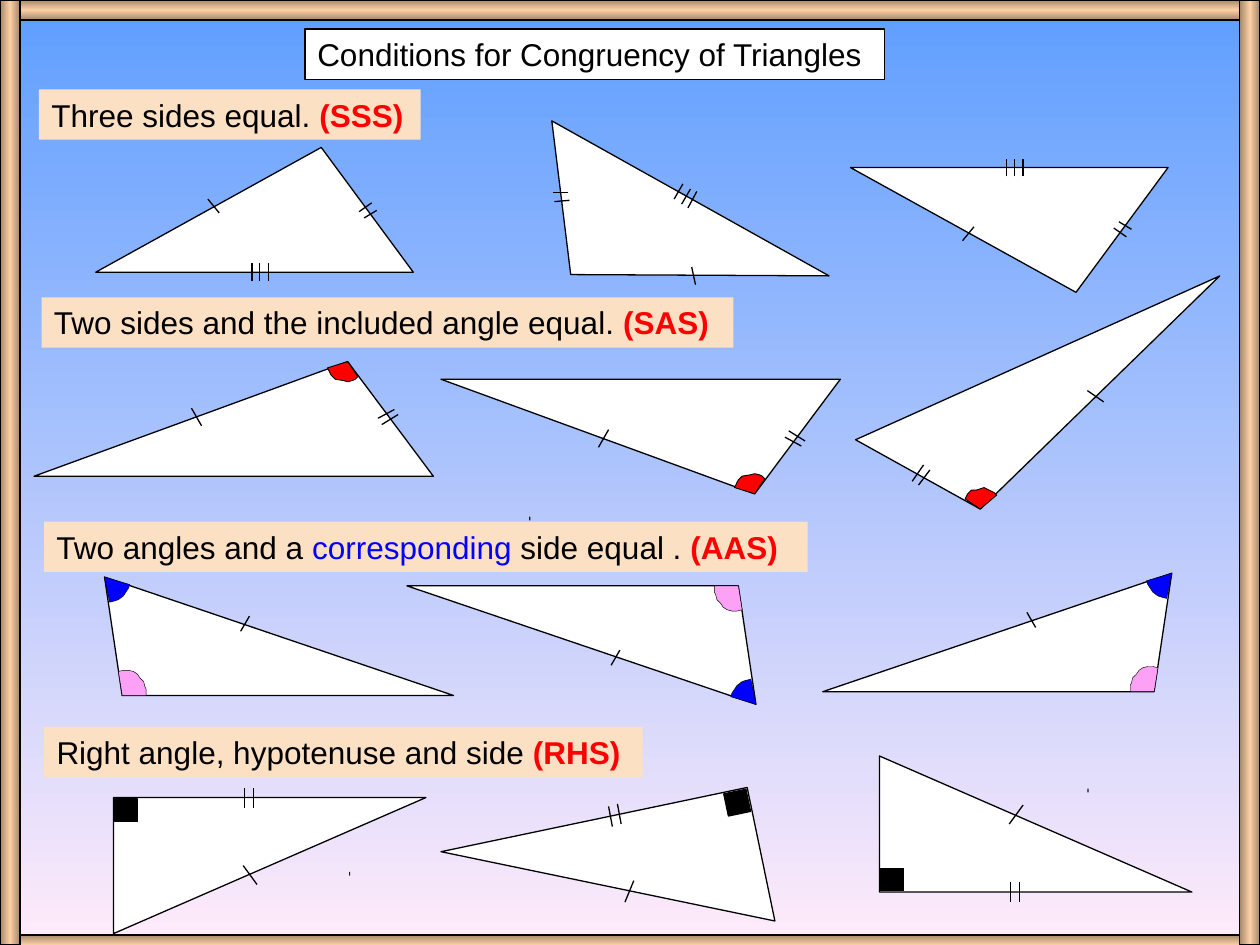
from copy import deepcopy
from dataclasses import dataclass
from math import cos, radians, sin

from lxml.etree import SubElement
from pptx import Presentation
from pptx.dml.color import RGBColor
from pptx.enum.shapes import MSO_CONNECTOR, MSO_SHAPE
from pptx.enum.text import MSO_AUTO_SIZE
from pptx.oxml.ns import qn
from pptx.util import Pt

PX = 9144


@dataclass(frozen=True)
class Theme:
    font: str = "Arial"
    size: int = 18
    ink: str = "000000"
    paper: str = "FFFFFF"
    label: str = "FCE0C4"
    red: str = "FF0000"
    blue: str = "0000FF"
    pink: str = "FDA1F6"
    speck: str = "1F1A17"
    sky: tuple = ("5E9EFF", "FFEBFA")
    wood: tuple = ("A5886C", "FACFA4", "A5886C")
    edge: float = 0.75


@dataclass(frozen=True)
class Place:
    x: int
    y: int
    flip: int = 1
    turn: float = 0


@dataclass(frozen=True)
class Figure:
    sides: tuple
    ticks: tuple
    wedges: tuple = ()
    square: bool = False


LOOK = Theme()

SAS_ARC = ((8, 12), (0, 0), (-16, 5), (-15, 7), (-14, 9), (-13, 11),
           (-10, 14), (-4, 15), (0, 16), (4, 15), (6, 14))
BLUE_ARC = ((4, 20), (0, 0), (20, 6), (19, 9), (17, 12), (15, 15), (11, 18), (8, 19))
PINK_ARC = ((33, 94), (14, 94), (11, 75), (15, 74), (19, 74), (23, 75),
            (26, 77), (28, 80), (31, 83), (32, 87), (33, 89), (33, 91))

SSS = Figure(
    ((0, 0), (-179, 99), (73, 99)),
    ((-90, 41, -81, 52), (30, 51, 40, 44), (34, 56, 44, 50),
     *((x, 92, x, 106) for x in (-55, -49, -42))))
SAS = Figure(
    ((0, 0), (-249, 91), (68, 91)),
    ((-124, 37, -116, 51), (24, 45, 37, 38), (27, 50, 40, 42)),
    ((LOOK.red, 0.5, SAS_ARC),))
AAS = Figure(
    ((0, 0), (14, 94), (277, 94)),
    ((108, 43, 115, 31),),
    ((LOOK.blue, 0.25, BLUE_ARC), (LOOK.pink, 0.25, PINK_ARC)))
RHS = Figure(
    ((0, 0), (248, 0), (0, 108)),
    ((103, 54, 114, 69), *((x, 8, x, -8) for x in (104, 111))),
    square=True)

ROWS = (
    ((33, 236, 549, 40),
     (("Two sides and the included angle equal. ", LOOK.ink), ("(SAS)", LOOK.red)),
     SAS, (Place(276, 287), Place(599, 392, -1), Place(778, 404, 1, 155.8))),
    ((35, 414, 606, 40),
     (("Two angles and a ", LOOK.ink), ("corresponding", LOOK.blue),
      (" side equal . ", LOOK.ink), ("(AAS)", LOOK.red)),
     AAS, (Place(83, 458), Place(600, 559, 1, 180), Place(930, 455, -1, 180))),
    ((35, 577, 475, 40),
     (("Right angle, hypotenuse and side ", LOOK.ink), ("(RHS)", LOOK.red)),
     RHS, (Place(698, 708, -1), Place(593, 625, -1, 168.2), Place(90, 633))),
    ((31, 71, 303, 40),
     (("Three sides equal. ", LOOK.ink), ("(SSS)", LOOK.red)),
     SSS, (Place(255, 117), Place(453, 218, 1, 209.3), Place(854, 232, -1))),
)


def rgb(code):
    """Turn a hex code into a colour."""
    return RGBColor.from_string(code)


def scale(*sizes):
    """Turn px into EMU."""
    return [size * PX for size in sizes]


def pin(point, place):
    """Flip, turn and move a point of a figure onto the slide."""
    x, y = point[0], point[1] * place.flip
    turn = radians(place.turn)
    return (round(place.x + x * cos(turn) - y * sin(turn)),
            round(place.y + x * sin(turn) + y * cos(turn)))


def paint(shape, fill, edge=None):
    """Give a shape a plain fill and an optional black edge."""
    shape.shadow.inherit = False
    shape.fill.solid()
    shape.fill.fore_color.rgb = rgb(fill)
    if edge:
        shape.line.color.rgb = rgb(LOOK.ink)
        shape.line.width = Pt(edge)
    else:
        shape.line.fill.background()


def blend(fill, codes, angle):
    """Colour the evenly spaced stops of a gradient."""
    fill.gradient_angle = angle
    for i, (stop, code) in enumerate(zip(fill.gradient_stops, codes)):
        stop.color.rgb = rgb(code)
        stop.position = i / (len(codes) - 1)


def add_bar(shapes, box, angle):
    """Add one wooden bar of the frame."""
    bar = shapes.add_shape(MSO_SHAPE.RECTANGLE, *scale(*box))
    paint(bar, LOOK.paper, LOOK.edge)
    bar.fill.gradient()
    stops = bar.element.spPr.find(".//" + qn("a:gsLst"))
    stops.append(deepcopy(stops[0]))
    blend(bar.fill, LOOK.wood, angle)


def add_label(shapes, box, parts, fill, edge=None):
    """Add a filled line of text, with names in red set bold."""
    label = shapes.add_textbox(*scale(*box))
    paint_box(label, fill, edge)
    frame = label.text_frame
    frame.word_wrap = True
    frame.auto_size = MSO_AUTO_SIZE.SHAPE_TO_FIT_TEXT
    line = frame.paragraphs[0]
    line.font.name = LOOK.font
    line.font.size = Pt(LOOK.size)
    for text, code in parts:
        run = line.add_run()
        run.text = text
        run.font.color.rgb = rgb(code)
        if code == LOOK.red:
            run.font.bold = True


def paint_box(label, fill, edge):
    """Paint the ground of a label."""
    paint(label, fill, edge)


def add_shape(shapes, points, fill, edge):
    """Add a closed outline."""
    pen = shapes.build_freeform(*points[0], scale=PX)
    pen.add_line_segments(points[1:], close=True)
    paint(pen.convert_to_shape(), fill, edge)


def add_tick(shapes, start, end):
    """Add one equal-side mark."""
    tick = shapes.add_connector(MSO_CONNECTOR.STRAIGHT, *scale(*start, *end))
    tick.line.color.rgb = rgb(LOOK.ink)
    tick.line.width = Pt(LOOK.edge)
    SubElement(tick.element.spPr, qn("a:effectLst"))


def add_square(shapes, place, size=18):
    """Add the right-angle mark of a figure."""
    x, y = pin((10, 10), place)
    box = scale(x - size // 2, y - size // 2, size, size)
    square = shapes.add_shape(MSO_SHAPE.RECTANGLE, *box)
    square.rotation = place.turn
    paint(square, LOOK.ink, LOOK.edge)


def add_figure(shapes, figure, place):
    """Add a triangle with its marks at a place."""
    add_shape(shapes, [pin(p, place) for p in figure.sides], LOOK.paper, LOOK.edge)
    for code, edge, arc in figure.wedges:
        add_shape(shapes, [pin(p, place) for p in arc], code, edge)
    if figure.square:
        add_square(shapes, place)
    for tick in figure.ticks:
        add_tick(shapes, pin(tick[:2], place), pin(tick[2:], place))


def main():
    """Build the slide."""
    deck = Presentation()
    deck.slide_width, deck.slide_height = scale(1000, 750)
    slide = deck.slides.add_slide(deck.slide_layouts[6])
    ground = slide.background.fill
    ground.gradient()
    blend(ground, LOOK.sky, 270)
    shapes = slide.shapes
    for x, y in ((420, 410), (277, 692), (863, 626)):
        paint(shapes.add_shape(MSO_SHAPE.RECTANGLE, *scale(x, y, 1, 3)), LOOK.speck)
    title = (("Conditions for Congruency of Triangles", LOOK.ink),)
    add_label(shapes, (242, 23, 460, 40), title, LOOK.paper, LOOK.edge)
    for y in (0, 742):
        add_bar(shapes, (0, y, 1000, 16), 270)
    for x in (0, 984):
        add_bar(shapes, (x, 0, 16, 750), 180)
    for box, parts, figure, places in ROWS:
        group = shapes.add_group_shape().shapes
        add_label(group, box, parts, LOOK.label)
        for place in places:
            add_figure(group, figure, place)
    deck.save("out.pptx")


if __name__ == "__main__":
    main()
